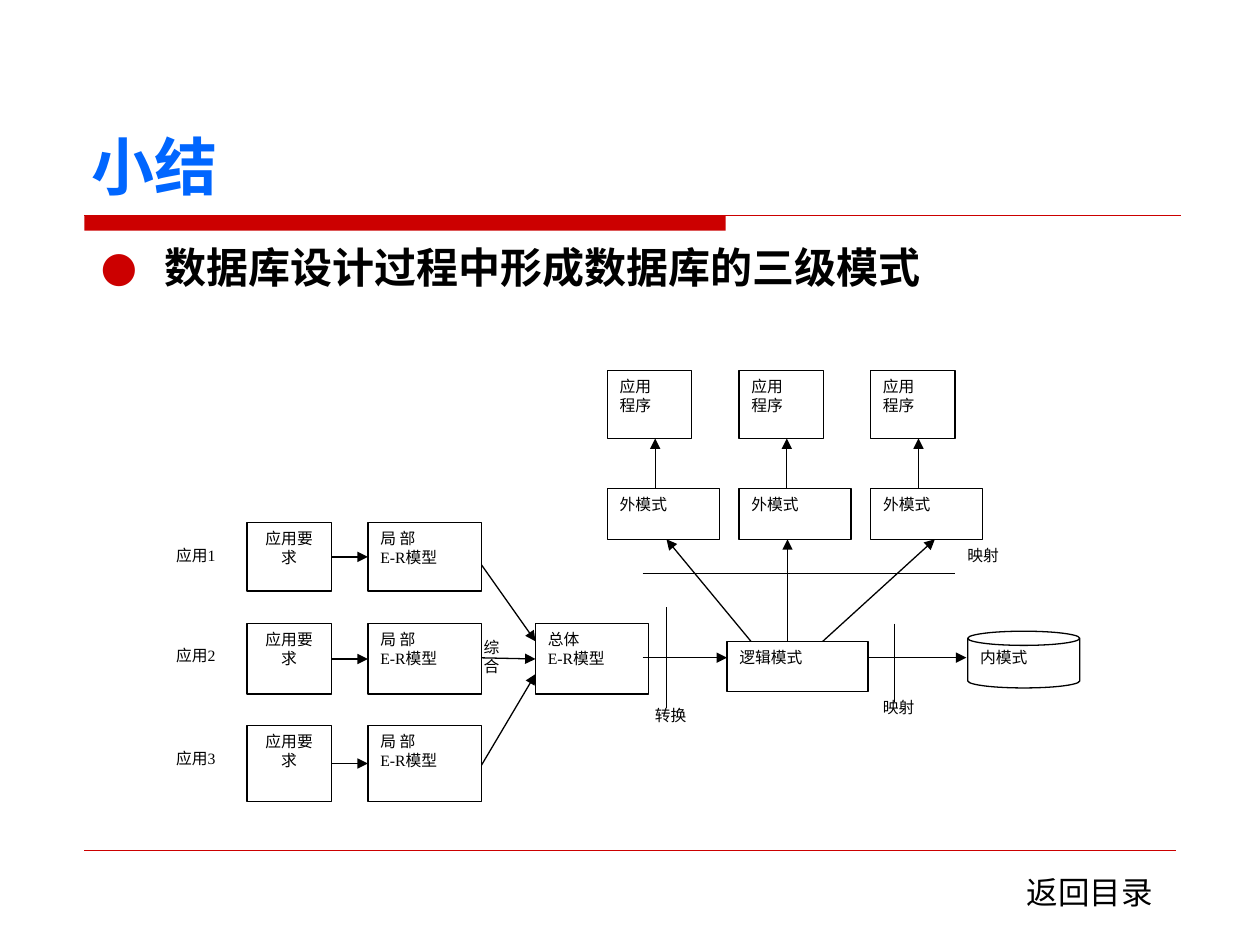
from pptx import Presentation
from pptx.dml.color import RGBColor
from pptx.enum.shapes import MSO_CONNECTOR as Connector, MSO_SHAPE as Shape
from pptx.enum.text import MSO_ANCHOR as Anchor, PP_ALIGN as Align
from pptx.oxml.ns import qn
from pptx.util import Inches, Pt
from lxml.etree import SubElement

COLORS = {"red": "CC0000", "blue": "0066FF", "black": "000000", "white": "FFFFFF"}
LATIN, SANS, CHINESE = "Times New Roman", "DejaVu Sans", "Noto Sans CJK SC"
TOP, LEFT, BOTTOM, RIGHT = range(4)


def color(name):
    return RGBColor.from_string(COLORS[name])


class SlideBuilder:
    def __init__(self, slide):
        self.shapes = slide.shapes

    def add_lines(self, shape, lines, size=9, font=LATIN, ink="black", bold=False,
                  align=Align.LEFT, anchor=Anchor.TOP):
        frame = shape.text_frame
        frame.word_wrap = True
        frame.vertical_anchor = anchor
        for index, line in enumerate(lines):
            para = frame.add_paragraph() if index else frame.paragraphs[0]
            para.alignment = align
            span = para.add_run()
            span.text = line
            span.font.name = font
            span.font.size = Pt(size)
            span.font.bold = bold
            span.font.color.rgb = color(ink)
            properties = span._r.get_or_add_rPr()
            SubElement(properties, qn("a:ea")).set("typeface", CHINESE)

    def text(self, x, y, width, height, *lines, **style):
        box = self.shapes.add_textbox(*map(Inches, (x, y, width, height)))
        self.add_lines(box, lines, **style)
        return box

    def shape(self, x, y, width, height, *lines, kind=Shape.RECTANGLE,
              fill="white", line="black", align=Align.LEFT):
        shape = self.shapes.add_shape(kind, *map(Inches, (x, y, width, height)))
        shape.shadow.inherit = False
        shape.fill.solid()
        shape.fill.fore_color.rgb = color(fill)
        if line:
            shape.line.color.rgb = color(line)
            shape.line.width = Pt(0.75)
        else:
            shape.line.fill.background()
        self.add_lines(shape, lines, align=align)
        return shape

    def line(self, x1, y1, x2, y2, ink="black", width=0.75):
        line = self.shapes.add_connector(
            Connector.STRAIGHT, *map(Inches, (x1, y1, x2, y2)))
        line.line.color.rgb = color(ink)
        line.line.width = Pt(width)
        SubElement(line._element.spPr, qn("a:effectLst"))
        return line

    def arrow(self, x1, y1, x2, y2):
        arrow = self.line(x1, y1, x2, y2)
        outline = arrow._element.spPr.find(qn("a:ln"))
        SubElement(outline, qn("a:tailEnd")).set("type", "triangle")
        return arrow

    def bullet(self, box, mark, ink, indent):
        """Give the first paragraph of a box a coloured hanging bullet."""
        properties = box.text_frame.paragraphs[0]._p.get_or_add_pPr()
        properties.set("marL", str(Inches(indent)))
        properties.set("indent", str(-Inches(indent)))
        bullet_color = SubElement(properties, qn("a:buClr"))
        SubElement(bullet_color, qn("a:srgbClr")).set("val", COLORS[ink])
        SubElement(properties, qn("a:buFont")).set("typeface", SANS)
        SubElement(properties, qn("a:buChar")).set("char", mark)


def add_frame(page):
    page.shape(0.67, 1.71, 5.09, 0.12, fill="red", line=None)
    page.line(0.67, 1.71, 9.37, 1.71, ink="red")
    page.line(0.67, 6.75, 9.33, 6.75, ink="red", width=0.25)
    page.text(0.63, 0.33, 8.75, 1.33, "小结", size=36, font=CHINESE,
              ink="blue", bold=True, anchor=Anchor.BOTTOM)
    heading = page.text(0.7, 1.87, 8.75, 4.67, "数据库设计过程中形成数据库的三级模式",
                        size=24, font=SANS, bold=True)
    page.bullet(heading, "●", "red", 0.51)
    page.text(8.05, 6.88, 1.25, 0.4, "返回目录", size=18, font=SANS)


def add_local_models(page):
    page.arrow(3.77, 4.41, 4.25, 5.09)
    page.arrow(3.77, 6.16, 4.25, 5.35)
    merge = page.arrow(3.77, 5.22, 4.25, 5.22)
    rows = [(4.15, 0.54), (4.95, 0.56), (5.76, 0.6)]
    for number, (top, height) in enumerate(rows, start=1):
        page.text(1.3, top + 0.13, 0.76, 0.37, f"应用{number}")
        need = page.shape(1.96, top, 0.67, height, "应用要求", align=Align.CENTER)
        model = page.shape(2.92, top, 0.9, height, "局 部", "E-R模型")
        link = page.arrow(2.63, top + height / 2, 2.92, top + height / 2)
        link.begin_connect(need, RIGHT)
        link.end_connect(model, LEFT)
    page.text(3.74, 5.01, 0.45, 0.67, "综", "合")
    overall = page.shape(4.25, 4.95, 0.9, 0.56, "总体", "E-R模型")
    merge.end_connect(overall, LEFT)


def add_schemas(page):
    page.shape(7.68, 5.01, 0.89, 0.45, kind=Shape.CAN)
    page.text(7.68, 5.09, 0.89, 0.45, "内模式")
    page.shape(5.77, 5.09, 1.12, 0.4, "逻辑模式")
    page.arrow(5.1, 5.22, 5.77, 5.22)
    page.arrow(6.89, 5.22, 7.67, 5.22)

    fan = [(5.96, 5.29), (6.25, 6.25), (6.53, 7.42)]
    for column, (start, end) in enumerate(fan):
        left = 4.82 + 1.045 * column
        page.shape(left, 2.94, 0.67, 0.54, "应用", "程序")
        page.shape(left, 3.88, 0.89, 0.4, "外模式")
        page.arrow(left + 0.38, 3.88, left + 0.38, 3.48)
        page.arrow(start, 5.09, end, 4.28)

    page.line(5.1, 4.55, 7.58, 4.55)
    page.line(5.29, 4.82, 5.29, 5.62)
    page.line(7.1, 4.95, 7.1, 5.57)
    page.text(5.1, 5.55, 0.76, 0.45, "转换")
    page.text(6.91, 5.49, 0.67, 0.45, "映射")
    page.text(7.58, 4.28, 0.67, 0.45, "映射")


def main():
    deck = Presentation()
    deck.slide_width, deck.slide_height = Inches(10), Inches(7.5)
    page = SlideBuilder(deck.slides.add_slide(deck.slide_layouts[6]))
    add_frame(page)
    add_local_models(page)
    add_schemas(page)
    deck.save("out.pptx")


if __name__ == "__main__":
    main()
